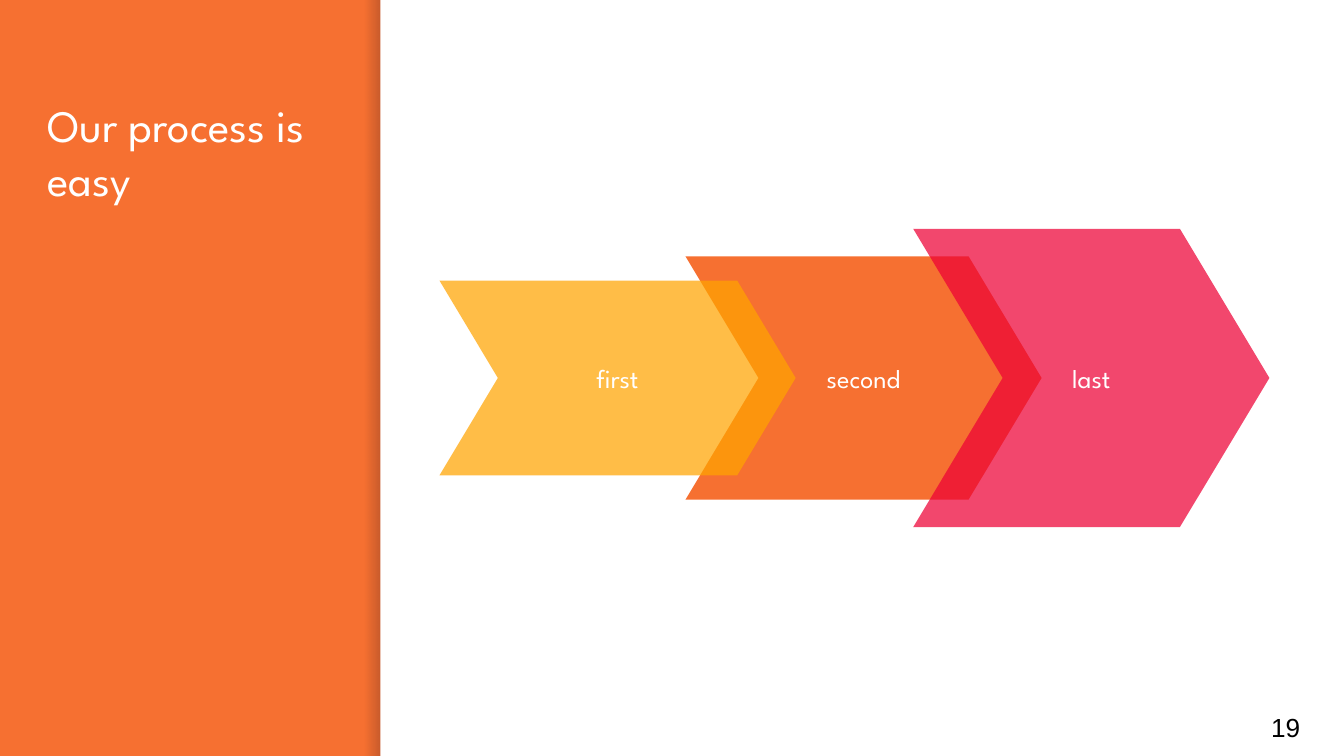
"""Build a slide with a side title and three overlapping process chevrons."""
from dataclasses import dataclass

from lxml.etree import SubElement
from pptx import Presentation
from pptx.dml.color import RGBColor
from pptx.enum.shapes import MSO_SHAPE
from pptx.enum.text import MSO_ANCHOR, PP_ALIGN
from pptx.oxml.ns import qn
from pptx.util import Inches, Pt

WIDTH = Inches(10)
HEIGHT = WIDTH * 9 // 16
PANEL_EDGE = 28.3


@dataclass(frozen=True)
class Theme:
    orange: str = "F67031"
    amber: str = "FFA400"
    crimson: str = "ED0036"
    shade: str = "000014"
    white: str = "FFFFFF"
    black: str = "000000"
    display_font: str = "League Spartan"
    number_font: str = "Arial"
    title_size: int = 24
    label_size: int = 14


THEME = Theme()


def place(left, top, width, height):
    """Turn percentages of the slide's size into lengths."""
    return (int(WIDTH * left / 100), int(HEIGHT * top / 100),
            int(WIDTH * width / 100), int(HEIGHT * height / 100))


def set_opacity(color_element, percent):
    """Give a colour element an opacity in percent."""
    SubElement(color_element, qn("a:alpha")).set("val", str(percent * 1000))


def write_text(shape, text, color, size, font=THEME.display_font,
               anchor=MSO_ANCHOR.MIDDLE, alignment=PP_ALIGN.LEFT):
    """Write one wrapped paragraph into a shape."""
    frame = shape.text_frame
    frame.word_wrap = True
    frame.vertical_anchor = anchor
    frame.margin_left = frame.margin_right = Inches(0.1)
    frame.margin_top = frame.margin_bottom = Inches(0.1)
    paragraph = frame.paragraphs[0]
    paragraph.text = text
    paragraph.alignment = alignment
    paragraph.font.name = font
    paragraph.font.size = Pt(size)
    paragraph.font.color.rgb = RGBColor.from_string(color)


def add_plain_shape(slide, kind, box):
    """Add a preset shape without shadow or outline."""
    shape = slide.shapes.add_shape(kind, *place(*box))
    shape.shadow.inherit = False
    shape.line.fill.background()
    return shape


def fill_solid(shape, color, opacity=100):
    """Fill a shape with one colour, see-through if asked."""
    shape.fill.solid()
    shape.fill.fore_color.rgb = RGBColor.from_string(color)
    if opacity < 100:
        set_opacity(next(shape.element.spPr.iter(qn("a:srgbClr"))), opacity)


def add_edge_shade(slide, box):
    """Add a strip that darkens towards its right side."""
    strip = add_plain_shape(slide, MSO_SHAPE.RECTANGLE, box)
    strip.fill.gradient()
    strip.fill.gradient_angle = 0
    for stop in strip.fill.gradient_stops:
        stop.color.rgb = RGBColor.from_string(THEME.shade)
    for color_element, opacity in zip(strip.element.spPr.iter(qn("a:srgbClr")), (0, 20)):
        set_opacity(color_element, opacity)


def add_chevron(slide, text, left, height, color, opacity):
    """Add a labelled chevron centred on the slide's middle line."""
    box = (left, 50 - height / 2, 26.5, height)
    chevron = add_plain_shape(slide, MSO_SHAPE.CHEVRON, box)
    chevron.adjustments[0] = 0.3
    fill_solid(chevron, color, opacity)
    write_text(chevron, text, THEME.white, THEME.label_size, alignment=PP_ALIGN.CENTER)


def add_text(slide, box, text, color, size, **style):
    """Add a text box."""
    write_text(slide.shapes.add_textbox(*place(*box)), text, color, size, **style)


def main():
    """Build and save the slide."""
    presentation = Presentation()
    presentation.slide_width, presentation.slide_height = WIDTH, HEIGHT
    slide = presentation.slides.add_slide(presentation.slide_layouts[6])
    slide.background.fill.solid()
    slide.background.fill.fore_color.rgb = RGBColor.from_string(THEME.orange)

    add_edge_shade(slide, (PANEL_EDGE - 1.2, 0, 1.2, 100))
    content = add_plain_shape(slide, MSO_SHAPE.RECTANGLE,
                              (PANEL_EDGE, 0, 100 - PANEL_EDGE, 100))
    fill_solid(content, THEME.white)
    add_text(slide, (2.55, 11.2, 22.4, 77.3), "Our process is easy", THEME.white,
             THEME.title_size, anchor=MSO_ANCHOR.TOP)

    add_chevron(slide, "second", 51, 32.2, THEME.orange, 100)
    add_text(slide, (93.6, 92.3, 6, 7.7), "19", THEME.black, THEME.label_size,
             font=THEME.number_font)
    add_chevron(slide, "last", 67.95, 39.45, THEME.crimson, 72)
    add_chevron(slide, "first", 32.7, 25.75, THEME.amber, 72)
    presentation.save("out.pptx")


if __name__ == "__main__":
    main()
